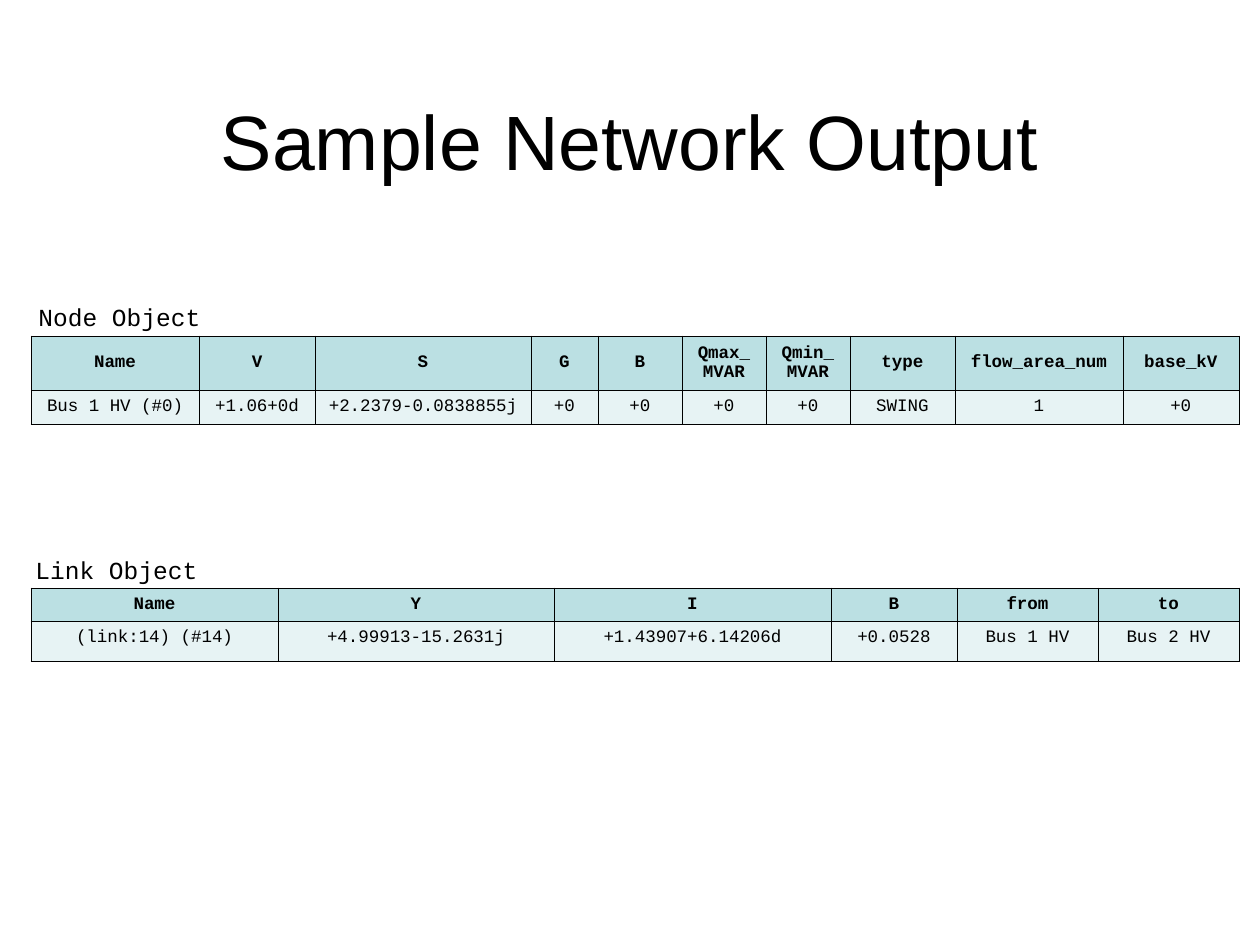
from lxml.etree import SubElement
from pptx import Presentation
from pptx.dml.color import RGBColor
from pptx.enum.text import MSO_ANCHOR as Anchor, PP_ALIGN as Align
from pptx.oxml.ns import qn
from pptx.util import Emu, Pt

EMU_PER_PX = 914400 / 126


def px(length):
    return Emu(round(length * EMU_PER_PX))


def color(hex_string):
    return RGBColor.from_string(hex_string)


class SlideBuilder:
    INK = "000000"
    HEADER_FILL = "BBE0E3"
    BODY_FILL = "E7F3F4"
    TITLE_FONT = "Arial"
    MONO_FONT = "Courier New"

    def __init__(self, slide):
        self.slide = slide

    def set_text(self, frame, text, size, font, align, bold=False):
        frame.text = text
        paragraph = frame.paragraphs[0]
        paragraph.alignment = align
        for run in paragraph.runs:
            run.font.size = Pt(size)
            run.font.name = font
            run.font.bold = bold
            run.font.color.rgb = color(self.INK)

    def text(self, text, left, top, width, height, size, font,
             align=Align.LEFT, anchor=Anchor.TOP):
        box = self.slide.shapes.add_textbox(px(left), px(top), px(width), px(height))
        frame = box.text_frame
        frame.word_wrap = True
        frame.vertical_anchor = anchor
        self.set_text(frame, text, size, font, align)

    def title(self, text, left, top, width, height):
        self.text(text, left, top, width, height, 44, self.TITLE_FONT,
                  Align.CENTER, Anchor.MIDDLE)

    def label(self, text, left, top, width, height):
        self.text(text, left, top, width, height, 14, self.MONO_FONT)

    def borders(self, cell, points):
        """Draw all four sides; the lines must come before the cell's fill."""
        properties = cell._tc.get_or_add_tcPr()
        for side in ("a:lnL", "a:lnR", "a:lnT", "a:lnB"):
            line = SubElement(properties, qn(side), w=str(Pt(points)))
            fill = SubElement(line, qn("a:solidFill"))
            SubElement(fill, qn("a:srgbClr"), val=self.INK)

    def table(self, left, top, widths, heights, rows, border):
        table = self.slide.shapes.add_table(
            len(rows), len(widths), px(left), px(top),
            px(sum(widths)), px(sum(heights))).table
        for column, width in zip(table.columns, widths):
            column.width = px(width)
        for row, height in zip(table.rows, heights):
            row.height = px(height)
        for r, values in enumerate(rows):
            header = r == 0
            for c, value in enumerate(values):
                cell = table.cell(r, c)
                self.borders(cell, border)
                cell.fill.solid()
                cell.fill.fore_color.rgb = color(
                    self.HEADER_FILL if header else self.BODY_FILL)
                cell.vertical_anchor = Anchor.MIDDLE if header else Anchor.TOP
                self.set_text(cell.text_frame, value, 10, self.MONO_FONT,
                              Align.CENTER, bold=header)


NODE_ROWS = [
    ["Name", "V", "S", "G", "B", "Qmax_MVAR", "Qmin_MVAR", "type",
     "flow_area_num", "base_kV"],
    ["Bus 1 HV (#0)", "+1.06+0d", "+2.2379-0.0838855j", "+0", "+0", "+0", "+0",
     "SWING", "1", "+0"],
]
LINK_ROWS = [
    ["Name", "Y", "I", "B", "from", "to"],
    ["(link:14) (#14)", "+4.99913-15.2631j", "+1.43907+6.14206d", "+0.0528",
     "Bus 1 HV", "Bus 2 HV"],
]


def main():
    deck = Presentation()
    deck.slide_width, deck.slide_height = px(1260), px(945)
    builder = SlideBuilder(deck.slides.add_slide(deck.slide_layouts[6]))

    builder.title("Sample Network Output", 63, 84, 1134, 111)
    builder.table(31, 336, [168, 116, 216, 67, 84, 84, 84, 105, 168, 116],
                  [54, 34], NODE_ROWS, 0.34)
    builder.table(31, 588, [247, 276, 277, 126, 141, 141],
                  [33, 40], LINK_ROWS, 0.45)
    builder.label("Node Object", 26, 296, 462, 43)
    builder.label("Link Object", 23, 549, 336, 43)

    deck.save("out.pptx")


if __name__ == "__main__":
    main()
